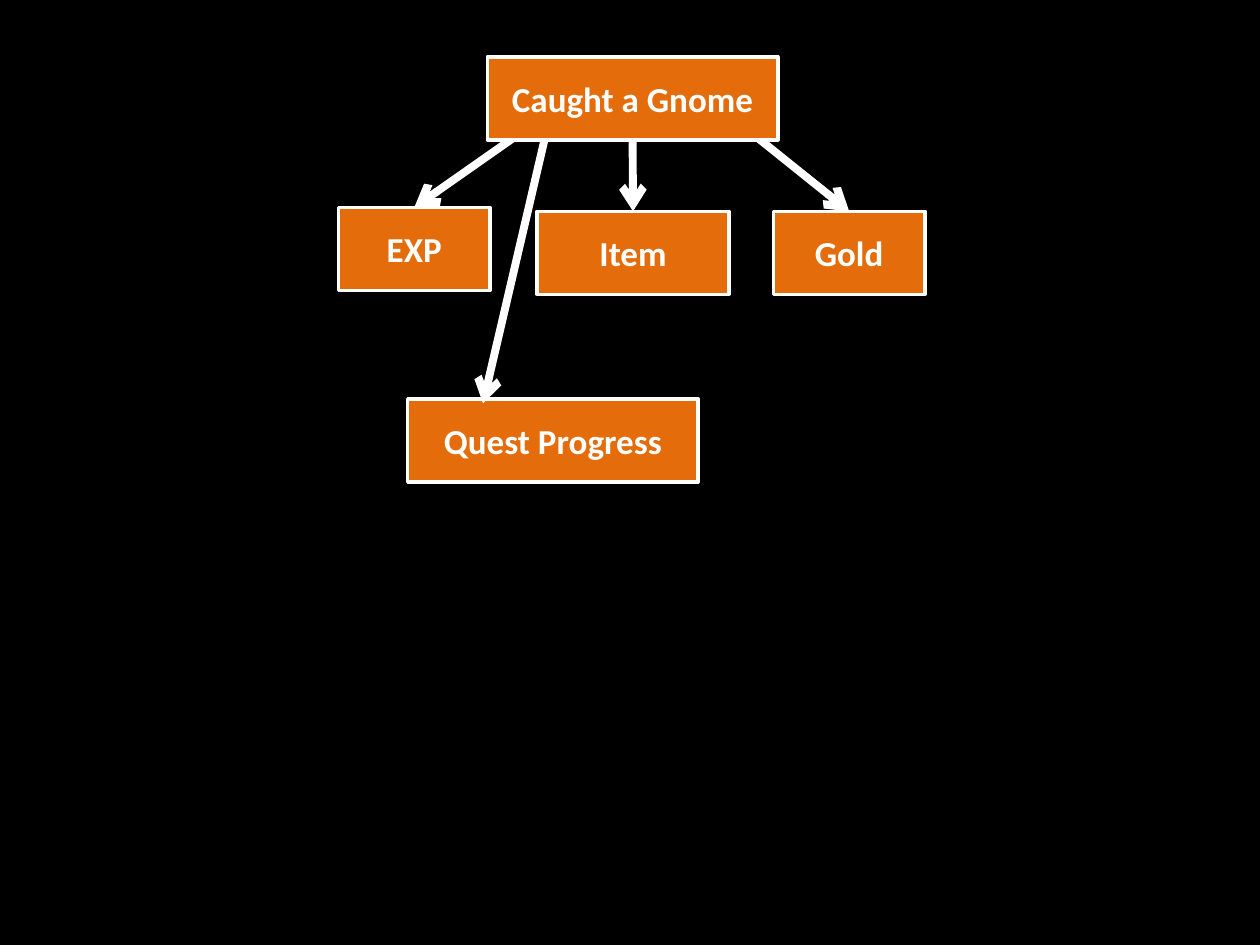
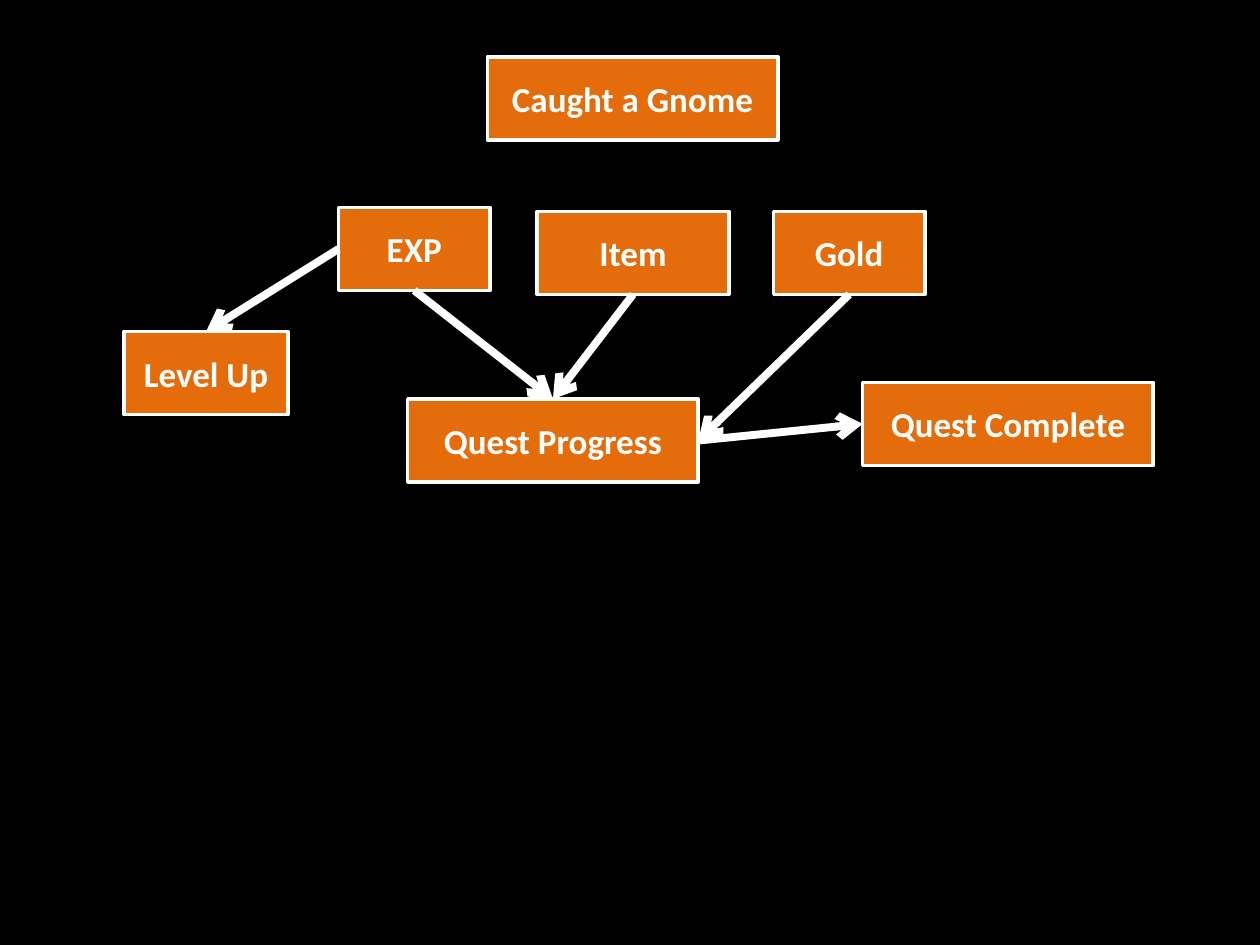
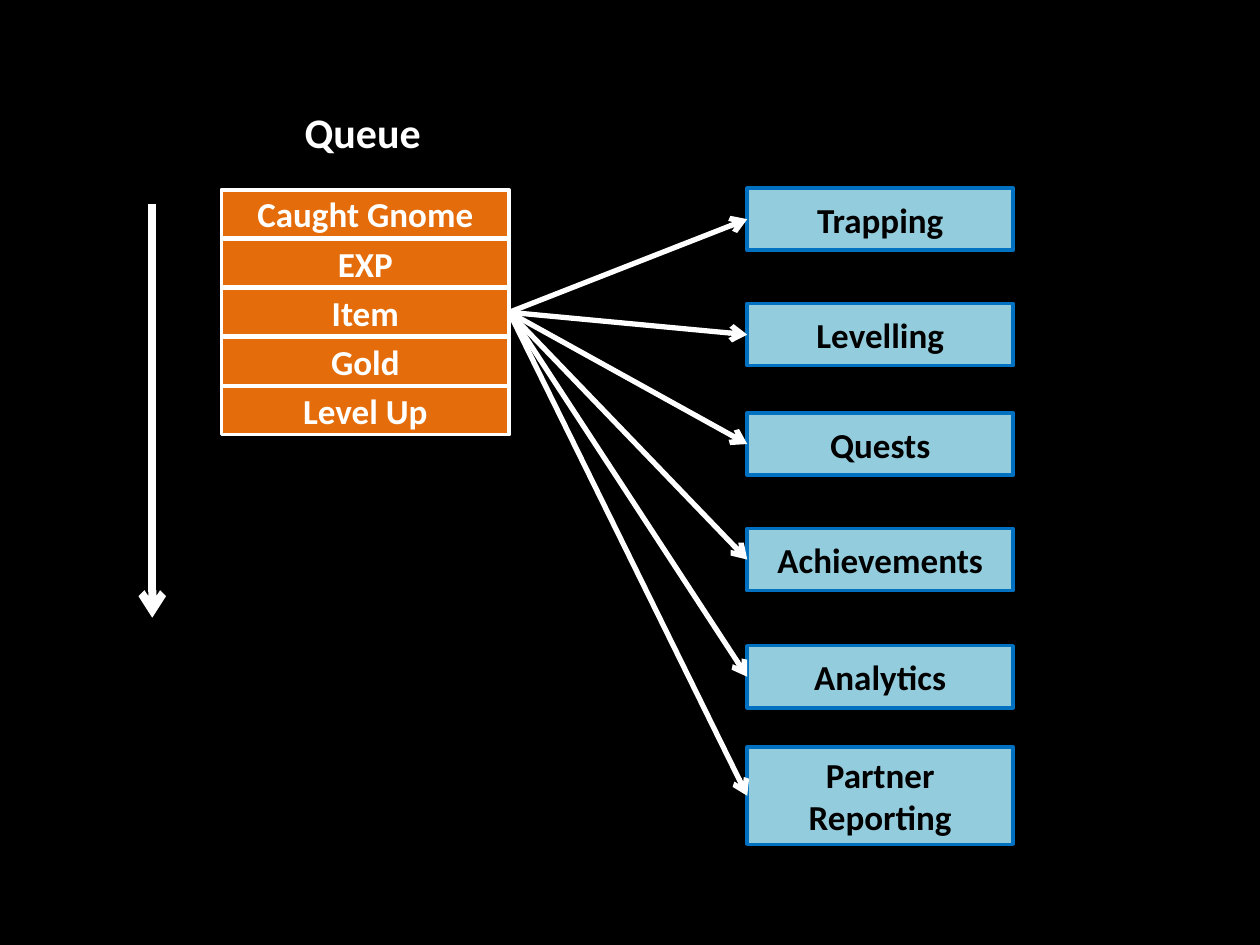
from lxml.etree import SubElement
from pptx import Presentation
from pptx.dml.color import RGBColor
from pptx.enum.shapes import MSO_CONNECTOR, MSO_SHAPE
from pptx.enum.text import MSO_ANCHOR, MSO_AUTO_SIZE, PP_ALIGN
from pptx.oxml.ns import qn
from pptx.util import Pt

BLACK = RGBColor(0x00, 0x00, 0x00)
WHITE = RGBColor(0xFF, 0xFF, 0xFF)
ORANGE = RGBColor(0xE4, 0x6C, 0x0A)
LIGHT_BLUE = RGBColor(0x93, 0xCD, 0xDD)
BLUE = RGBColor(0x00, 0x70, 0xC0)

FONT = "Calibri"
TOP, LEFT, BOTTOM, RIGHT = range(4)

# Fill, outline and text colour
EVENT_STYLE = (ORANGE, WHITE, WHITE)
SERVICE_STYLE = (LIGHT_BLUE, BLUE, BLACK)

# Left, top and width of each event box, shared by both event diagrams
EVENT_HEIGHT = 47.5
EVENTS = {
    "EXP": (193.5, 118.5, 86.5),
    "Item": (307, 120.75, 109.5),
    "Gold": (442, 120.75, 86.5),
    "Quest Progress": (233, 228, 166),
    "Caught a Gnome": (278.5, 32.5, 166),
    "Level Up": (71, 189.5, 93.5),
    "Quest Complete": (493, 218.5, 166),
}

QUEUE = ["Caught Gnome", "EXP", "Item", "Gold", "Level Up"]
QUEUE_TOP, QUEUE_STEP = 108.5, 28.1

# Name, top and height of each service box
SERVICES = [
    ("Trapping", 107.5, 35.5),
    ("Levelling", 173.5, 35.5),
    ("Quests", 236, 35.5),
    ("Achievements", 302, 35.5),
    ("Analytics", 369, 35.5),
    ("Partner Reporting", 427, 55.5),
]


def add_page(deck):
    return deck.slides.add_slide(deck.slide_layouts[6])


def write_text(frame, text, size, color, alignment):
    para = frame.paragraphs[0]
    para.alignment = alignment
    span = para.add_run()
    span.text = text
    span.font.name = FONT
    span.font.size = Pt(size)
    span.font.bold = True
    span.font.color.rgb = color


def add_box(page, text, left, top, width, height, style):
    fill, outline, text_color = style
    box = page.shapes.add_shape(
        MSO_SHAPE.RECTANGLE, Pt(left), Pt(top), Pt(width), Pt(height))
    box.shadow.inherit = False
    box.fill.solid()
    box.fill.fore_color.rgb = fill
    box.line.color.rgb = outline
    box.line.width = Pt(2)
    box.text_frame.word_wrap = True
    box.text_frame.vertical_anchor = MSO_ANCHOR.MIDDLE
    write_text(box.text_frame, text, 20, text_color, PP_ALIGN.CENTER)
    return box


def add_event(page, name):
    left, top, width = EVENTS[name]
    return add_box(page, name, left, top, width, EVENT_HEIGHT, EVENT_STYLE)


def add_label(page, text, left, top, width, height):
    label = page.shapes.add_textbox(Pt(left), Pt(top), Pt(width), Pt(height))
    label.text_frame.word_wrap = False
    label.text_frame.auto_size = MSO_AUTO_SIZE.SHAPE_TO_FIT_TEXT
    write_text(label.text_frame, text, 24, WHITE, PP_ALIGN.LEFT)


def add_arrow(page, start, end, weight=4.5):
    """Draw a white arrow between points (x, y) in points."""
    arrow = page.shapes.add_connector(
        MSO_CONNECTOR.STRAIGHT, *(Pt(value) for value in start + end))
    arrow.line.color.rgb = WHITE
    arrow.line.width = Pt(weight)
    SubElement(arrow.line._get_or_add_ln(), qn("a:tailEnd"), type="arrow")
    SubElement(arrow._element.spPr, qn("a:effectLst"))
    return arrow


def join_boxes(page, source, source_side, target, target_side, weight=4.5):
    arrow = add_arrow(page, (0, 0), (0, 0), weight)
    arrow.begin_connect(source, source_side)
    arrow.end_connect(target, target_side)


def build_rewards(deck):
    page = add_page(deck)
    arrows = {}
    for name, start in [("EXP", (296, 77)), ("Item", (361.5, 80)),
                        ("Gold", (409.5, 60))]:
        reward = add_event(page, name)
        arrows[name] = add_arrow(page, start, (0, 0))
        arrows[name].end_connect(reward, TOP)
    add_event(page, "Quest Progress")
    add_arrow(page, (313, 72), (276, 230.5))
    # The cause goes last so that it covers the starts of the arrows
    cause = add_event(page, "Caught a Gnome")
    arrows["Item"].begin_connect(cause, BOTTOM)


def build_consequences(deck):
    page = add_page(deck)
    boxes = {name: add_event(page, name) for name in EVENTS}
    for source, source_side, target, target_side in [
        ("EXP", LEFT, "Level Up", TOP),
        ("EXP", BOTTOM, "Quest Progress", TOP),
        ("Item", BOTTOM, "Quest Progress", TOP),
        ("Gold", BOTTOM, "Quest Progress", RIGHT),
        ("Quest Progress", RIGHT, "Quest Complete", LEFT),
    ]:
        join_boxes(page, boxes[source], source_side, boxes[target], target_side)


def build_queue(deck):
    page = add_page(deck)
    add_label(page, "Queue", 167, 57.5, 81.5, 36)
    add_arrow(page, (87, 116.5), (87, 353))
    queue = {
        name: add_box(page, name, 126.5, QUEUE_TOP + index * QUEUE_STEP,
                      164.5, 27.5, EVENT_STYLE)
        for index, name in enumerate(QUEUE)
    }
    for name, top, height in SERVICES:
        service = add_box(page, name, 427, top, 152, height, SERVICE_STYLE)
        join_boxes(page, queue["Item"], RIGHT, service, LEFT, weight=3)


def main():
    deck = Presentation()
    deck.slide_width, deck.slide_height = Pt(720), Pt(540)
    backdrop = deck.slide_master.background.fill
    backdrop.solid()
    backdrop.fore_color.rgb = BLACK
    build_rewards(deck)
    build_consequences(deck)
    build_queue(deck)
    deck.save("out.pptx")


if __name__ == "__main__":
    main()
